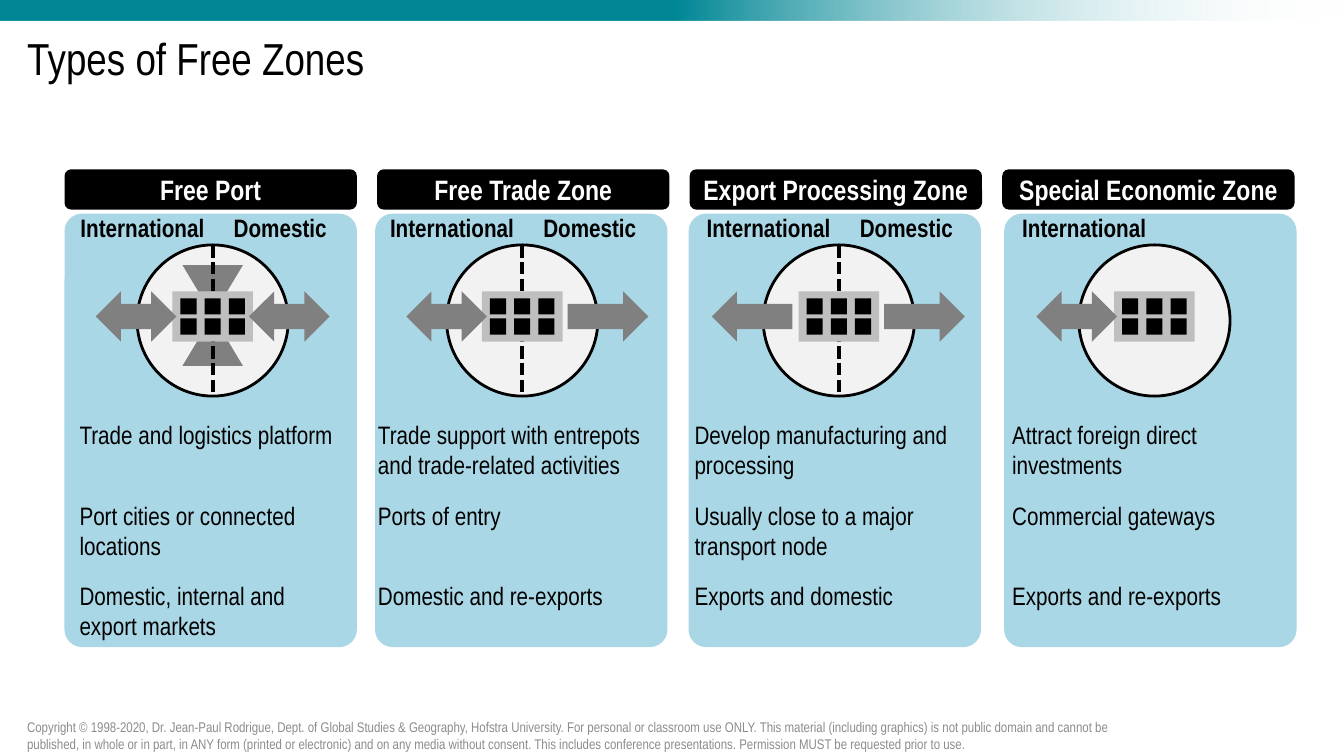
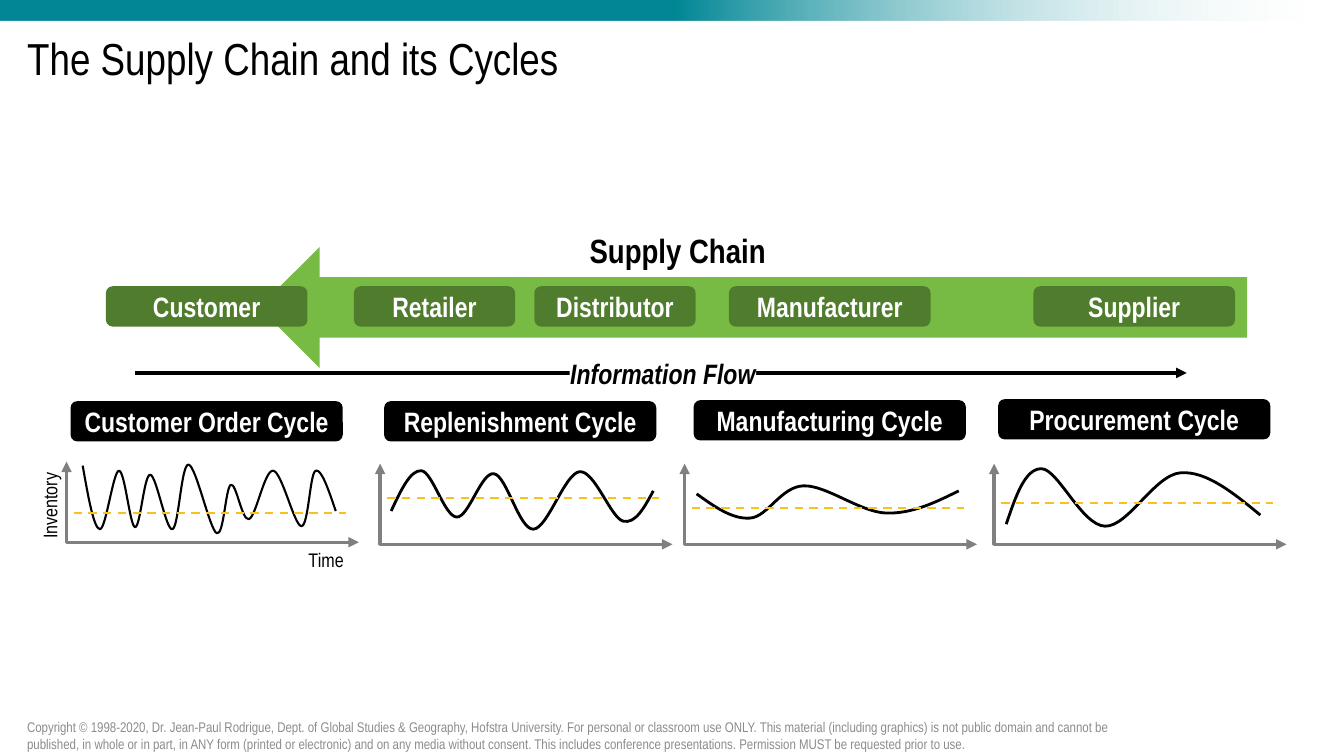
"""Build two slides on free zones and supply chain cycles."""
from collections import namedtuple
from itertools import product

from lxml.etree import SubElement
from pptx import Presentation
from pptx.dml.color import RGBColor
from pptx.enum.dml import MSO_LINE
from pptx.enum.shapes import MSO_CONNECTOR, MSO_SHAPE
from pptx.enum.text import MSO_ANCHOR, MSO_AUTO_SIZE, PP_ALIGN
from pptx.oxml.ns import qn
from pptx.util import Inches, Pt

FONT = "Arial Narrow"
BLACK, WHITE, GRAY = "000000", "FFFFFF", "808080"
TEAL, PALE_BLUE, LIGHT_GRAY, SILVER = "008695", "AAD7E6", "F2F2F2", "BFBFBF"
GREEN, DARK_GREEN, YELLOW, FOOTER_GRAY = "78BB44", "507D2D", "F7C120", "8C8C8C"
COPYRIGHT = (
    "Copyright © 1998-2020, Dr. Jean-Paul Rodrigue, Dept. of Global Studies & Geography, "
    "Hofstra University. For personal or classroom use ONLY. This material (including graphics) "
    "is not public domain and cannot be published, in whole or in part, in ANY form (printed or "
    "electronic) and on any media without consent. This includes conference presentations. "
    "Permission MUST be requested prior to use."
)
HEADING = {"size": 20, "color": WHITE, "bold": True, "align": PP_ALIGN.CENTER}
color_of = RGBColor.from_string


def add_box(slide, kind, left, top, width, height, fill=None, text="", size=18,
            color=BLACK, bold=False, align=PP_ALIGN.LEFT, wrap=False):
    """Add a preset shape, or a text box when kind is None."""
    place = [Inches(length) for length in (left, top, width, height)]
    if kind is None:
        shape = slide.shapes.add_textbox(*place)
    else:
        shape = slide.shapes.add_shape(kind, *place)
        shape.shadow.inherit = False
        shape.fill.solid()
        shape.fill.fore_color.rgb = color_of(fill)
        shape.line.fill.background()
    if text:
        frame = shape.text_frame
        frame.word_wrap = wrap
        frame.vertical_anchor = MSO_ANCHOR.TOP if kind is None else MSO_ANCHOR.MIDDLE
        paragraph = frame.paragraphs[0]
        paragraph.text = text
        paragraph.alignment = align
        paragraph.font.name = FONT
        paragraph.font.size = Pt(size)
        paragraph.font.bold = bold
        paragraph.font.color.rgb = color_of(color)
    return shape


def style_line(shape, color, width, dash=None, arrowheads=()):
    """Format a connector or an open freeform."""
    shape.line.color.rgb = color_of(color)
    shape.line.width = Pt(width)
    if dash:
        shape.line.dash_style = dash
    for end in arrowheads:
        SubElement(shape.line._get_or_add_ln(), qn(f"a:{end}"), type="triangle")
    SubElement(shape.element.spPr, qn("a:effectLst"))


presentation = Presentation()
presentation.slide_width = Inches(13.33)
presentation.slide_height = Inches(7.5)
layout = presentation.slide_layouts[5]

slides = []
for title_text in ("Types of Free Zones", "The Supply Chain and its Cycles"):
    slide = presentation.slides.add_slide(layout)
    title = slide.shapes.title
    title.left, title.top = Inches(0.17), Inches(0.2)
    title.width, title.height = Inches(13), Inches(0.8)
    title.text_frame.auto_size = MSO_AUTO_SIZE.NONE
    title.text_frame.vertical_anchor = MSO_ANCHOR.MIDDLE
    paragraph = title.text_frame.paragraphs[0]
    paragraph.text = title_text
    paragraph.alignment = PP_ALIGN.LEFT
    paragraph.line_spacing = 0.9
    paragraph.font.name = FONT
    paragraph.font.size = Pt(32)
    paragraph.font.color.rgb = color_of(BLACK)
    footer = add_box(slide, None, 0.17, 7.1, 10.95, 0.4, text=COPYRIGHT, size=10,
                     color=FOOTER_GRAY, wrap=True)
    footer.text_frame.vertical_anchor = MSO_ANCHOR.MIDDLE
    slides.append(slide)
zones_slide, chain_slide = slides

band = add_box(zones_slide, MSO_SHAPE.RECTANGLE, 0, 0, 13.33, 0.2, TEAL)
band.fill.gradient()
band.fill.gradient_angle = 0
for stop, position, color in zip(band.fill.gradient_stops, (0.5, 1), (TEAL, WHITE)):
    stop.position = position
    stop.color.rgb = color_of(color)
clear_color = list(band.element.iter(qn("a:srgbClr")))[-1]
SubElement(clear_color, qn("a:alpha"), val="0")
layout.shapes.element.append(band.element)

Zone = namedtuple("Zone", "name panel_left center arrows text_left text_width texts")
both_ways, outward, inward = (
    MSO_SHAPE.LEFT_RIGHT_ARROW, MSO_SHAPE.RIGHT_ARROW, MSO_SHAPE.LEFT_ARROW)
zones = [
    Zone("Free Port", 0.64, 2.11, [(both_ways, -1.16), (both_ways, 0.36)], 0.69, 2.75,
         ["Trade and logistics platform", "Port cities or connected locations",
          "Domestic, internal and export markets"]),
    Zone("Free Trade Zone", 3.72, 5.18, [(both_ways, -1.15), (outward, 0.45)], 3.65, 2.9,
         ["Trade support with entrepots and trade-related activities", "Ports of entry",
          "Domestic and re-exports"]),
    Zone("Export Processing Zone", 6.83, 8.32, [(inward, -1.26), (outward, 0.45)], 6.79, 2.9,
         ["Develop manufacturing and processing", "Usually close to a major transport node",
          "Exports and domestic"]),
    Zone("Special Economic Zone", 9.96, 11.45, [(both_ways, -1.17)], 9.94, 2.9,
         ["Attract foreign direct investments", "Commercial gateways",
          "Exports and re-exports"]),
]
zone_width, zone_pitch = 2.9, 3.1
circle_top, circle_size = 2.43, 1.5
building_width, window_size, window_pitch_x, window_pitch_y = 0.8, 0.16, 0.24, 0.2
for column, zone in enumerate(zones):
    center = zone.center
    panel = add_box(zones_slide, MSO_SHAPE.ROUNDED_RECTANGLE, zone.panel_left, 2.12,
                    zone_width, 4.3, PALE_BLUE)
    panel.adjustments[0] = 0.06
    add_box(zones_slide, MSO_SHAPE.ROUNDED_RECTANGLE, 0.64 + zone_pitch * column, 1.68,
            zone_width, 0.4, BLACK, zone.name, **HEADING)
    circle = add_box(zones_slide, MSO_SHAPE.OVAL, center - circle_size / 2, circle_top,
                     circle_size, circle_size, LIGHT_GRAY)
    circle.line.color.rgb = color_of(BLACK)
    circle.line.width = Pt(2)
    if zone.name == "Free Port":
        add_box(zones_slide, MSO_SHAPE.FLOWCHART_COLLATE, center - 0.3, 2.63, 0.6, 1, GRAY)
    add_box(zones_slide, None, center - 1.41, 2.06, 1.44, 0.4, text="International", bold=True)
    serves_domestic_market = len(zone.arrows) == 2
    if serves_domestic_market:
        add_box(zones_slide, None, center + 0.11, 2.06, 1.13, 0.4, text="Domestic", bold=True)
        border = zones_slide.shapes.add_connector(
            MSO_CONNECTOR.STRAIGHT, Inches(center), Inches(circle_top),
            Inches(center), Inches(circle_top + circle_size))
        style_line(border, BLACK, 3, MSO_LINE.SQUARE_DOT)
    add_box(zones_slide, MSO_SHAPE.RECTANGLE, center - building_width / 2, 2.89,
            building_width, 0.5, SILVER)
    for row, window in product(range(2), range(3)):
        add_box(zones_slide, MSO_SHAPE.RECTANGLE,
                center + window_pitch_x * (window - 1) - window_size / 2,
                2.96 + window_pitch_y * row, window_size, window_size, BLACK)
    for arrow, offset in zone.arrows:
        add_box(zones_slide, arrow, center + offset, 2.89, 0.8, 0.5, GRAY)
    for row, text in enumerate(zone.texts):
        add_box(zones_slide, None, zone.text_left, 4.11 + 0.8 * row, zone.text_width, 0.7,
                text=text, wrap=True)

add_box(chain_slide, MSO_SHAPE.LEFT_ARROW, 2.57, 2.45, 9.8, 1.2, GREEN)
add_box(chain_slide, None, 5.75, 2.23, 1.97, 0.5, text="Supply Chain", size=24, bold=True)
stages = [("Customer", 1.05, 2), ("Retailer", 3.51, 1.6), ("Distributor", 5.3, 1.6),
          ("Manufacturer", 7.23, 2), ("Supplier", 10.25, 2)]
for name, left, width in stages:
    add_box(chain_slide, MSO_SHAPE.ROUNDED_RECTANGLE, left, 2.84, width, 0.4, DARK_GREEN,
            name, **HEADING)

flow = chain_slide.shapes.add_connector(
    MSO_CONNECTOR.STRAIGHT, Inches(1.34), Inches(3.7), Inches(11.77), Inches(3.7))
style_line(flow, BLACK, 2.5, arrowheads=["tailEnd"])
flow_label = add_box(chain_slide, MSO_SHAPE.RECTANGLE, 5.65, 3.48, 1.85, 0.44, WHITE,
                     "Information Flow", **{**HEADING, "color": BLACK})
flow_label.text_frame.paragraphs[0].font.italic = True

Cycle = namedtuple("Cycle", "name heading_left heading_top axis_left axis_bottom "
                            "average curve_width times levels")
cycles = [
    Cycle("Customer Order Cycle", 0.7, 3.98, 0.66, 5.38, 0.29, 1.5,
          times=[0.16, 0.33, 0.52, 0.68, 0.83, 1.05, 1.21,
                 1.49, 1.63, 1.81, 2.05, 2.33, 2.47, 2.67],
          levels=[0.76, 0.13, 0.71, 0.15, 0.67, 0.13, 0.77,
                  0.09, 0.57, 0.23, 0.71, 0.16, 0.71, 0.31]),
    Cycle("Replenishment Cycle", 3.81, 3.98, 3.77, 5.4, 0.46, 2,
          times=[0.11, 0.41, 0.76, 1.13, 1.52, 1.98, 2.41, 2.71],
          levels=[0.33, 0.73, 0.27, 0.7, 0.15, 0.72, 0.23, 0.53]),
    Cycle("Manufacturing Cycle", 6.88, 3.97, 6.79, 5.4, 0.36, 2,
          times=[0.12, 0.65, 1.18, 2, 2.72],
          levels=[0.5, 0.26, 0.58, 0.31, 0.53]),
    Cycle("Procurement Cycle", 9.9, 3.96, 9.86, 5.4, 0.41, 2,
          times=[0.12, 0.47, 1.1, 1.85, 2.64],
          levels=[0.2, 0.75, 0.18, 0.71, 0.29]),
]
axis_width, axis_height, cycle_width = 2.9, 0.8, 2.7
for cycle in cycles:
    add_box(chain_slide, MSO_SHAPE.ROUNDED_RECTANGLE, cycle.heading_left, cycle.heading_top,
            cycle_width, 0.4, BLACK, cycle.name, **HEADING)

    axis_points = [(0, axis_height), (0, 0), (axis_width, 0)]
    turns = list(zip(cycle.times, cycle.levels))
    inner_points = []
    for (before_x, before_y), (x, y), (after_x, after_y) in zip(turns, turns[1:], turns[2:]):
        handle_x, handle_y = (after_x - before_x) / 6, (after_y - before_y) / 6
        inner_points += [(x - handle_x, y - handle_y), (x, y), (x + handle_x, y + handle_y)]
    first_handle, last_handle = [
        ((end[0] + handle[0]) / 2, (end[1] + handle[1]) / 2)
        for end, handle in ((turns[0], inner_points[0]), (turns[-1], inner_points[-1]))]
    curve_points = [turns[0], first_handle, *inner_points, last_handle, turns[-1]]

    outlines = []
    for points in (axis_points, curve_points):
        start, *others = [(Inches(cycle.axis_left + time), Inches(cycle.axis_bottom - level))
                          for time, level in points]
        builder = chain_slide.shapes.build_freeform(*start)
        builder.add_line_segments(others, close=False)
        outline = builder.convert_to_shape()
        outline.fill.background()
        outlines.append(outline)
    axes, curve = outlines
    style_line(axes, GRAY, 2.5, arrowheads=["headEnd", "tailEnd"])
    style_line(curve, BLACK, cycle.curve_width)

    geometry = next(curve.element.iter(qn("a:path")))
    segments = geometry.findall(qn("a:lnTo"))
    for index in range(0, len(segments), 3):
        bezier = SubElement(geometry, qn("a:cubicBezTo"))
        for segment in segments[index:index + 3]:
            bezier.append(segment[0])
            geometry.remove(segment)

    average_left = cycle.axis_left + 0.07
    average_top = cycle.axis_bottom - cycle.average
    average_line = chain_slide.shapes.add_connector(
        MSO_CONNECTOR.STRAIGHT, Inches(average_left), Inches(average_top),
        Inches(average_left + cycle_width), Inches(average_top))
    style_line(average_line, YELLOW, 1.5, MSO_LINE.DASH)

add_box(chain_slide, None, 2.96, 5.39, 0.56, 0.34, text="Time", size=14)
inventory = add_box(chain_slide, None, 0.06, 4.84, 0.87, 0.34, text="Inventory", size=14)
inventory.rotation = 270

presentation.save("out.pptx")
